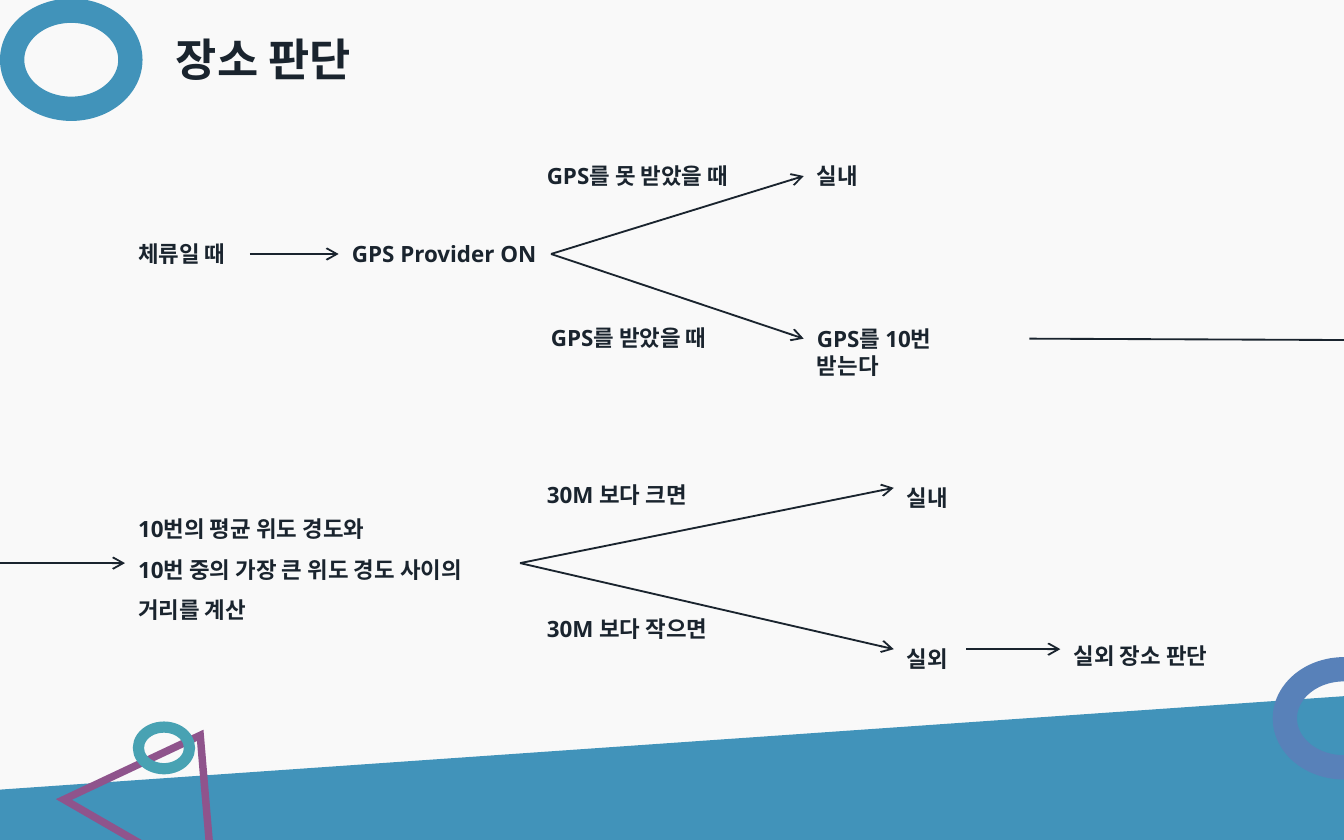
from dataclasses import dataclass

from lxml.etree import SubElement
from pptx import Presentation
from pptx.dml.color import RGBColor
from pptx.enum.shapes import MSO_CONNECTOR, MSO_SHAPE as Form
from pptx.enum.text import MSO_ANCHOR as Anchor, MSO_AUTO_SIZE as AutoSize, PP_ALIGN as Align
from pptx.oxml.ns import qn
from pptx.util import Inches, Pt

COLUMNS, ROWS = 100, 62.5
LEFT, RIGHT = 1, 3


@dataclass(frozen=True)
class Theme:
    ground: str = "F9F9F9"
    ink: str = "1A242E"
    blue: str = "4193BA"
    indigo: str = "5881B9"
    plum: str = "8F548C"
    teal: str = "48A2B3"
    latin: str = "Open Sans"
    korean: str = "Noto Sans CJK KR"
    title_size: int = 24
    label_size: int = 12


class FlowPage:
    """One slide on a grid of 100 columns by 62.5 rows."""

    def __init__(self, deck, theme):
        self.theme = theme
        self.cell = deck.slide_width / COLUMNS
        self.page = deck.slides.add_slide(deck.slide_layouts[5])
        fill = self.page.background.fill
        fill.solid()
        fill.fore_color.rgb = RGBColor.from_string(theme.ground)

    def grid(self, *cells):
        return [round(cell * self.cell) for cell in cells]

    def style(self, para, size, latin):
        for span in para.runs:
            font = span.font
            font.size, font.bold, font.name = Pt(size), True, latin
            font.color.rgb = RGBColor.from_string(self.theme.ink)
            SubElement(font._element, qn("a:ea"), typeface=self.theme.korean)

    def title(self, text, *place):
        box = self.page.shapes.title
        box.left, box.top, box.width, box.height = self.grid(*place)
        frame = box.text_frame
        frame.text = text
        frame.auto_size, frame.word_wrap = AutoSize.NONE, False
        frame.vertical_anchor = Anchor.MIDDLE
        para = frame.paragraphs[0]
        para.alignment, para.line_spacing = Align.CENTER, 0.9
        self.style(para, self.theme.title_size, self.theme.korean)

    def decoration(self, form, place, fill=None, outline=None, weight=0, rotation=0):
        shape = self.page.shapes.add_shape(form, *self.grid(*place))
        shape.shadow.inherit = False
        shape.rotation = rotation
        if fill:
            shape.fill.solid()
            shape.fill.fore_color.rgb = RGBColor.from_string(fill)
        else:
            shape.fill.background()
        if outline:
            shape.line.color.rgb = RGBColor.from_string(outline)
            shape.line.width = Pt(weight)
            SubElement(shape.line._get_or_add_ln(), qn("a:miter"), lim="800000")
        else:
            shape.line.fill.background()
        return shape

    def label(self, text, left, middle, width, height=3, spacing=None, right_margin=0):
        """Text box centred on the grid row `middle`."""
        box = self.page.shapes.add_textbox(
            *self.grid(left, middle - height / 2, width, height))
        frame = box.text_frame
        frame.word_wrap = True
        frame.margin_right = self.grid(right_margin)[0]
        frame.text = text
        for para in frame.paragraphs:
            para.line_spacing = spacing
            self.style(para, self.theme.label_size, self.theme.latin)
        return box

    def link(self, source=None, target=None, start=(0, 0), end=(0, 0), arrow=True):
        """Line from a box's right side to a box's left side, or between grid points."""
        line = self.page.shapes.add_connector(
            MSO_CONNECTOR.STRAIGHT, *self.grid(*start, *end))
        if source is not None:
            line.begin_connect(source, RIGHT)
        if target is not None:
            line.end_connect(target, LEFT)
        line.line.color.rgb = RGBColor.from_string(self.theme.ink)
        line.line.width = Pt(1)
        if arrow:
            SubElement(line.line._get_or_add_ln(), qn("a:tailEnd"), type="arrow")
        SubElement(line._element.spPr, qn("a:effectLst"))


def decorate(flow):
    theme = flow.theme
    slope = flow.decoration(Form.TRAPEZOID, (36.1, 15.7, 27.8, 100), theme.blue, rotation=270)
    slope.adjustments[0] = 0.25
    flow.decoration(Form.OVAL, (95.6, 49.8, 8.8, 7.3), outline=theme.indigo, weight=13)
    flow.decoration(Form.ISOSCELES_TRIANGLE, (6.2, 54.1, 12.8, 9.2),
                    outline=theme.plum, weight=4, rotation=30)
    flow.decoration(Form.OVAL, (10.3, 54.1, 3.8, 3.1), outline=theme.teal, weight=6)
    flow.decoration(Form.OVAL, (0.9, 0.8, 8.8, 7.3), outline=theme.blue, weight=13)


def gps_step(flow):
    stay = flow.label("체류일 때", 9.3, 18.9, 9.3)
    provider = flow.label("GPS Provider ON", 25.2, 18.9, 15.8)
    indoor = flow.label("실내", 59.8, 13.1, 5.4)
    samples = flow.label("GPS를 10번 받는다", 59.8, 25.2, 16.8, right_margin=3)
    flow.label("GPS를 못 받았을 때", 39.7, 13.1, 17.1)
    flow.label("GPS를 받았을 때", 40, 25.1, 14.8)
    for source, target in ((stay, provider), (provider, indoor), (provider, samples)):
        flow.link(source, target)
    flow.link(samples, end=(COLUMNS, 25.3), arrow=False)


def distance_step(flow):
    distance = flow.label(
        "10번의 평균 위도 경도와\n10번 중의 가장 큰 위도 경도 사이의\n거리를 계산",
        9.3, 41.9, 29.4, 10.1, spacing=1.5)
    indoor = flow.label("실내", 66.5, 36.3, 5.4, 3.6, spacing=1.5)
    outdoor = flow.label("실외", 66.5, 48.3, 5.4, 3.6, spacing=1.5)
    place = flow.label("실외 장소 판단", 78.9, 48.3, 13.3, 4, spacing=1.5)
    flow.label("30M 보다 크면", 39.7, 36.8, 13.5)
    flow.label("30M 보다 작으면", 39.7, 46.8, 15.2)
    flow.link(target=distance, start=(0, 41.9))
    for source, target in ((distance, indoor), (distance, outdoor), (outdoor, place)):
        flow.link(source, target)


def main():
    deck = Presentation()
    deck.slide_width, deck.slide_height = Inches(10), Inches(6.25)
    flow = FlowPage(deck, Theme())
    decorate(flow)
    flow.title("장소 판단", 10.5, 2.3, 18.2, 4.6)
    gps_step(flow)
    distance_step(flow)
    deck.save("out.pptx")


if __name__ == "__main__":
    main()
